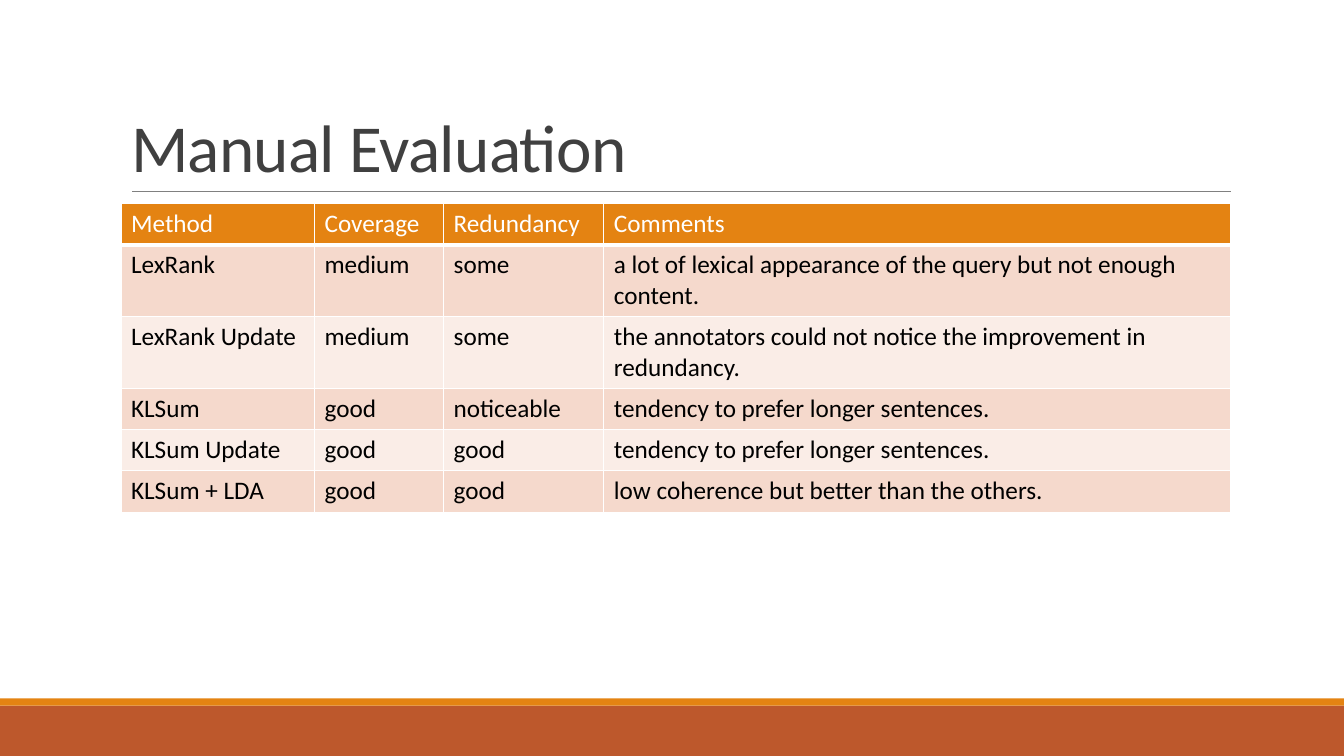
import pptx
import pptx.util
import pptx.dml.color
import pptx.enum.shapes
import pptx.enum.text
import pptx.oxml
import pptx.oxml.ns
from dataclasses import dataclass

Inches = pptx.util.Inches
Pt = pptx.util.Pt


@dataclass(frozen=True)
class Theme:
    font: str = "Calibri"
    title: int = 48
    body: int = 18
    gray: str = "404040"
    rule: str = "808080"
    rust: str = "BD582C"
    gold: str = "E48312"
    white: str = "FFFFFF"
    black: str = "000000"
    bands: tuple = ("F5D9CC", "FAEDE7")


THEME = Theme()
WIDTHS = (1.92, 1.28, 1.59, 6.22)
ROW = 0.41
ROWS = (
    ("Method", "Coverage", "Redundancy", "Comments"),
    ("LexRank", "medium", "some",
     "a lot of lexical appearance of the query but not enough content."),
    ("LexRank Update", "medium", "some",
     "the annotators could not notice the improvement in redundancy."),
    ("KLSum", "good", "noticeable", "tendency to prefer longer sentences."),
    ("KLSum Update", "good", "good", "tendency to prefer longer sentences."),
    ("KLSum + LDA", "good", "good", "low coherence but better than the others."),
)


def rgb(color):
    return pptx.dml.color.RGBColor.from_string(color)


def apply(item, format):
    for key, value in format.items():
        setattr(item, key, value)


def style(font, size, color):
    apply(font, {"name": THEME.font, "size": Pt(size), "bold": False})
    font.color.rgb = rgb(color)


def add_bar(slide, top, height, color):
    bar = slide.shapes.add_shape(
        pptx.enum.shapes.MSO_SHAPE.RECTANGLE,
        0, Inches(top), Inches(13.33), Inches(height))
    bar.shadow.inherit = False
    bar.fill.solid()
    bar.fill.fore_color.rgb = rgb(color)
    bar.line.fill.background()


def add_rule(slide, left, right, top):
    rule = slide.shapes.add_connector(
        pptx.enum.shapes.MSO_CONNECTOR.STRAIGHT,
        Inches(left), Inches(top), Inches(right), Inches(top))
    rule.line.color.rgb = rgb(THEME.rule)
    rule.line.width = Pt(0.5)
    props = rule._element.spPr
    props.append(props.makeelement(pptx.oxml.ns.qn("a:effectLst"), {}))


def set_title(slide, text):
    title = slide.shapes.title
    apply(title, {"left": Inches(1.2), "top": Inches(0.31),
                  "width": Inches(11), "height": Inches(1.59)})
    frame = title.text_frame
    apply(frame, {"text": text, "word_wrap": True,
                  "auto_size": pptx.enum.text.MSO_AUTO_SIZE.NONE,
                  "vertical_anchor": pptx.enum.text.MSO_ANCHOR.BOTTOM})
    para = frame.paragraphs[0]
    apply(para, {"alignment": pptx.enum.text.PP_ALIGN.LEFT,
                 "line_spacing": 0.85})
    run = para.runs[0]
    style(run.font, THEME.title, THEME.gray)
    run._r.get_or_add_rPr().set("spc", "-50")


def set_edges(cell, widths):
    props = cell._tc.get_or_add_tcPr()
    for spot, (side, width) in enumerate(widths.items()):
        props.insert(spot, pptx.oxml.parse_xml(
            f'<a:ln{side} {pptx.oxml.ns.nsdecls("a")} w="{Pt(width)}">'
            f'<a:solidFill><a:srgbClr val="{THEME.white}"/></a:solidFill>'
            f'</a:ln{side}>'))


def fill_cell(cell, text, row):
    head = row == 0
    cell.text = text
    cell.fill.solid()
    cell.fill.fore_color.rgb = rgb(
        THEME.gold if head else THEME.bands[(row - 1) % 2])
    style(cell.text_frame.paragraphs[0].runs[0].font, THEME.body,
          THEME.white if head else THEME.black)
    # The heavy edge lies between the header and the first row
    set_edges(cell, {"L": 1, "R": 1, "T": 3 if row == 1 else 1,
                     "B": 3 if head else 1})


def add_grid(slide, left, top):
    table = slide.shapes.add_table(
        len(ROWS), len(WIDTHS), Inches(left), Inches(top),
        Inches(sum(WIDTHS)), Inches(ROW * len(ROWS))).table
    for column, width in zip(table.columns, WIDTHS):
        column.width = Inches(width)
    for row, texts in enumerate(ROWS):
        table.rows[row].height = Inches(ROW)
        for col, text in enumerate(texts):
            fill_cell(table.cell(row, col), text, row)


def main():
    deck = pptx.Presentation()
    apply(deck, {"slide_width": Inches(13.33), "slide_height": Inches(7.5)})
    slide = deck.slides.add_slide(deck.slide_layouts[5])

    # Footer bands and title rule
    add_bar(slide, 7, 0.5, THEME.rust)
    add_bar(slide, 6.93, 0.07, THEME.gold)
    add_rule(slide, 1.31, 12.21, 1.9)

    # Title and table
    set_title(slide, "Manual Evaluation")
    add_grid(slide, 1.2, 2.02)

    deck.save("out.pptx")


if __name__ == "__main__":
    main()
